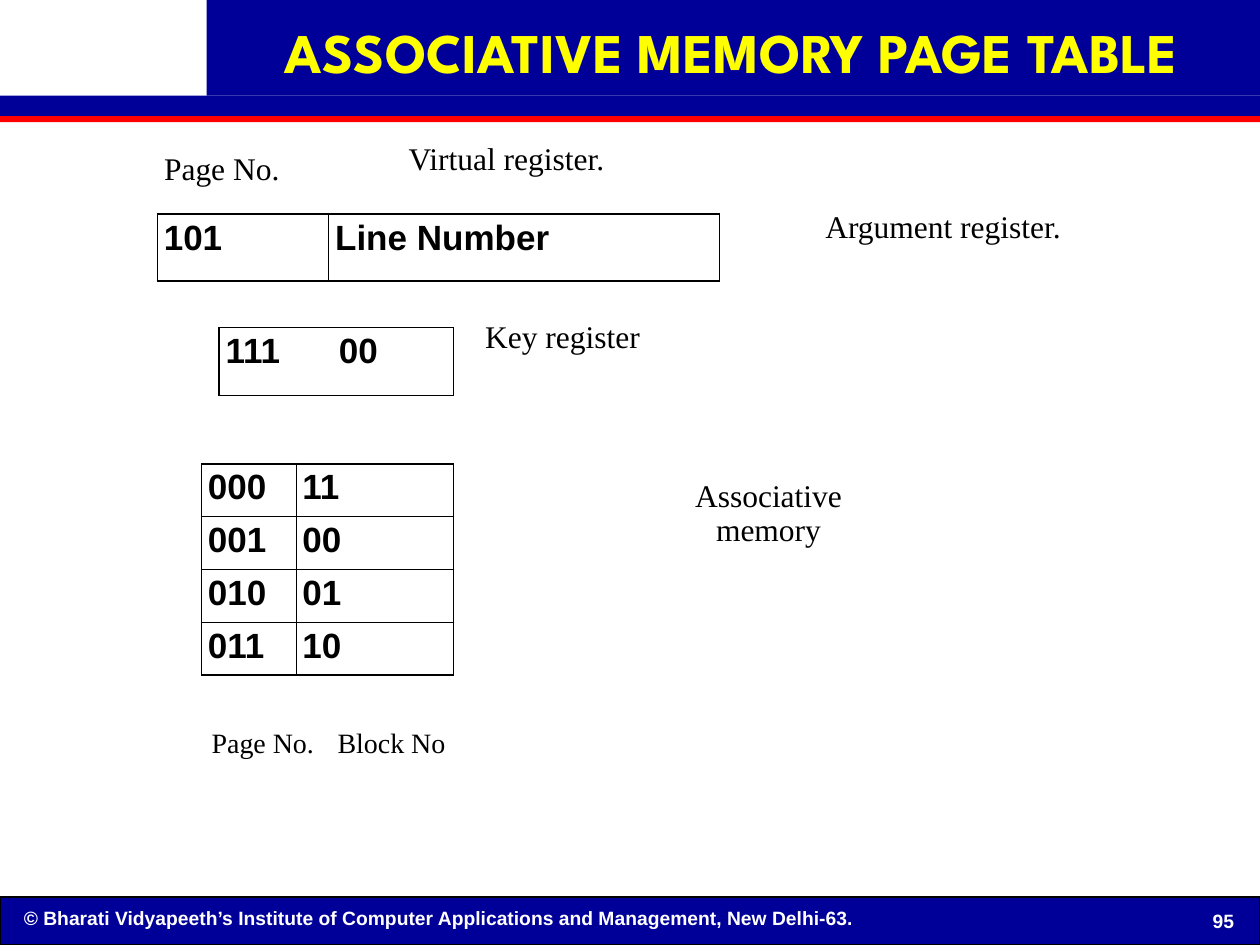
from typing import NamedTuple

from lxml.etree import SubElement
from pptx import Presentation
from pptx.dml.color import RGBColor
from pptx.enum.text import MSO_ANCHOR as Anchor, PP_ALIGN as Align
from pptx.oxml.ns import qn
from pptx.util import Inches, Pt

UNIT = 0.1  # inches per grid column and row: the slide is 100 x 75
NAVY, RED, YELLOW, WHITE, BLACK = "000099", "FF0000", "FFFF00", "FFFFFF", "000000"
OUTER, INNER = 1.08, 0.45  # table rule widths in points


class Box(NamedTuple):
    left: float
    top: float
    width: float
    height: float

    def within(self, left, top, width, height):
        """Box placed in grid units from this box's corner."""
        return Box(self.left + left, self.top + top, width, height)

    def lengths(self):
        return [grid(value) for value in self]


def grid(units):
    return Inches(units * UNIT)


def color(hex_value):
    return RGBColor.from_string(hex_value)


def write(frame, text, size, font, ink, bold=False, align=Align.LEFT,
          anchor=Anchor.TOP, spacing=None, margin=0.5, wrap=True, tab=None):
    frame.word_wrap = wrap
    frame.vertical_anchor = anchor
    frame.margin_left = frame.margin_right = grid(margin)
    frame.margin_top = frame.margin_bottom = grid(0.5)
    paragraph = frame.paragraphs[0]
    paragraph.text = text
    paragraph.alignment = align
    if tab:
        stops = SubElement(paragraph._p.get_or_add_pPr(), qn("a:tabLst"))
        SubElement(stops, qn("a:tab"), pos=str(grid(tab)), algn="l")
    if spacing:
        paragraph.line_spacing = spacing
    paragraph.font.size = Pt(size)
    paragraph.font.name = font
    paragraph.font.bold = bold
    paragraph.font.color.rgb = color(ink)


def add_bar(slide, box, fill, outline=None):
    bar = slide.shapes.add_shape(1, *box.lengths())
    bar.shadow.inherit = False
    bar.fill.solid()
    bar.fill.fore_color.rgb = color(fill)
    if outline:
        bar.line.color.rgb = color(outline)
        bar.line.width = Pt(0.75)
    else:
        bar.line.fill.background()


def add_label(slide, box, text, size=18, align=Align.CENTER, tab=None):
    label = slide.shapes.add_textbox(*box.lengths())
    write(label.text_frame, text, size, "Times New Roman", BLACK, align=align,
          spacing=0.9, wrap=False, tab=tab)


def add_banner(slide, box, text):
    add_bar(slide, box.within(0, 9.2, box.width, 0.5), RED)
    add_bar(slide, box.within(16.4, 0, box.width - 16.4, 7.6), NAVY)
    add_bar(slide, box.within(0, 7.6, box.width, 1.6), NAVY)
    title = slide.shapes.title
    title.left, title.top, title.width, title.height = box.within(
        16.6, -0.1, 83, 9).lengths()
    write(title.text_frame, text, 32, "League Spartan", YELLOW, bold=True,
          align=Align.CENTER, anchor=Anchor.MIDDLE, spacing=0.9)
    title.element.getparent().append(title.element)  # in front of the bars


def add_footer(slide, box, copyright_line, number):
    add_bar(slide, box, NAVY, BLACK)
    notice = slide.shapes.add_textbox(*box.within(0.9, 0.2, 91.8, 2.9).lengths())
    write(notice.text_frame, copyright_line, 11, "Arial", WHITE, bold=True, margin=1)
    page = slide.shapes.add_textbox(*box.within(94.5, 0.7, 5.2, 2.4).lengths())
    write(page.text_frame, number, 11, "Arial", WHITE, bold=True, margin=1,
          align=Align.CENTER, anchor=Anchor.MIDDLE)


def rule_cell(cell, outer_sides):
    """Draw heavy rules on the table's outline and thin ones inside it."""
    properties = cell._tc.get_or_add_tcPr()
    for side, outer in zip("LRTB", outer_sides):
        width = Pt(OUTER if outer else INNER)
        line = SubElement(properties, qn(f"a:ln{side}"), w=str(width))
        fill = SubElement(line, qn("a:solidFill"))
        SubElement(fill, qn("a:srgbClr"), val=BLACK)


def add_register(slide, box, rows, columns, tab=None):
    table = slide.shapes.add_table(len(rows), len(columns), *box.lengths()).table
    table.first_row = table.horz_banding = False
    for column, width in zip(table.columns, columns):
        column.width = grid(width)
    for r, values in enumerate(rows):
        table.rows[r].height = grid(box.height / len(rows))
        for c, value in enumerate(values):
            cell = table.cell(r, c)
            rule_cell(cell, (c == 0, c == len(columns) - 1,
                             r == 0, r == len(rows) - 1))
            cell.fill.background()
            cell.margin_left = cell.margin_right = grid(0.5)
            cell.margin_top = cell.margin_bottom = grid(0.5)
            write(cell.text_frame, value, 20, "Arial", BLACK, bold=True,
                  spacing=0.95, tab=tab)


def add_argument_register(slide, box):
    add_label(slide, box.within(0, 0.8, 10.2, 3.7), "Page No.")
    add_label(slide, box.within(19.3, 0, 16.8, 3.7), "Virtual register.")
    add_label(slide, box.within(52.4, 5.4, 19.9, 3.7), "Argument register.")
    add_register(slide, box.within(0, 6.1, 44.6, 5.3),
                 [["101", "Line Number"]], [13.6, 31])


def add_key_register(slide, box):
    add_label(slide, box.within(20.6, 0, 13.3, 3.7), "Key register")
    add_register(slide, box.within(0, 1, 18.6, 5.4), [["111\t00"]], [18.6], tab=9)


def add_associative_memory(slide, box):
    pages = [["000", "11"], ["001", "00"], ["010", "01"], ["011", "10"]]
    add_register(slide, box.within(0, 0, 20, 16.8), pages, [7.5, 12.5])
    add_label(slide, box.within(34.2, 0.8, 21.6, 6.4), "Associative memory")
    add_label(slide, box.within(0.3, 20.6, 19.6, 3.4), "Page No.\tBlock No",
              size=16, align=Align.LEFT, tab=10)


def main():
    deck = Presentation()
    deck.slide_width, deck.slide_height = grid(100), grid(75)
    slide = deck.slides.add_slide(deck.slide_layouts[5])
    add_footer(slide, Box(0, 71.2, 100, 3.8),
               "© Bharati Vidyapeeth’s Institute of Computer Applications "
               "and Management, New Delhi-63.", "95")
    add_banner(slide, Box(0, 0, 100, 9.7), "ASSOCIATIVE MEMORY PAGE TABLE")
    add_argument_register(slide, Box(12.5, 10.9, 72.3, 11.4))
    add_key_register(slide, Box(17.4, 25, 33.9, 6.4))
    add_associative_memory(slide, Box(16, 36.8, 55.8, 24))
    deck.save("out.pptx")


if __name__ == "__main__":
    main()
